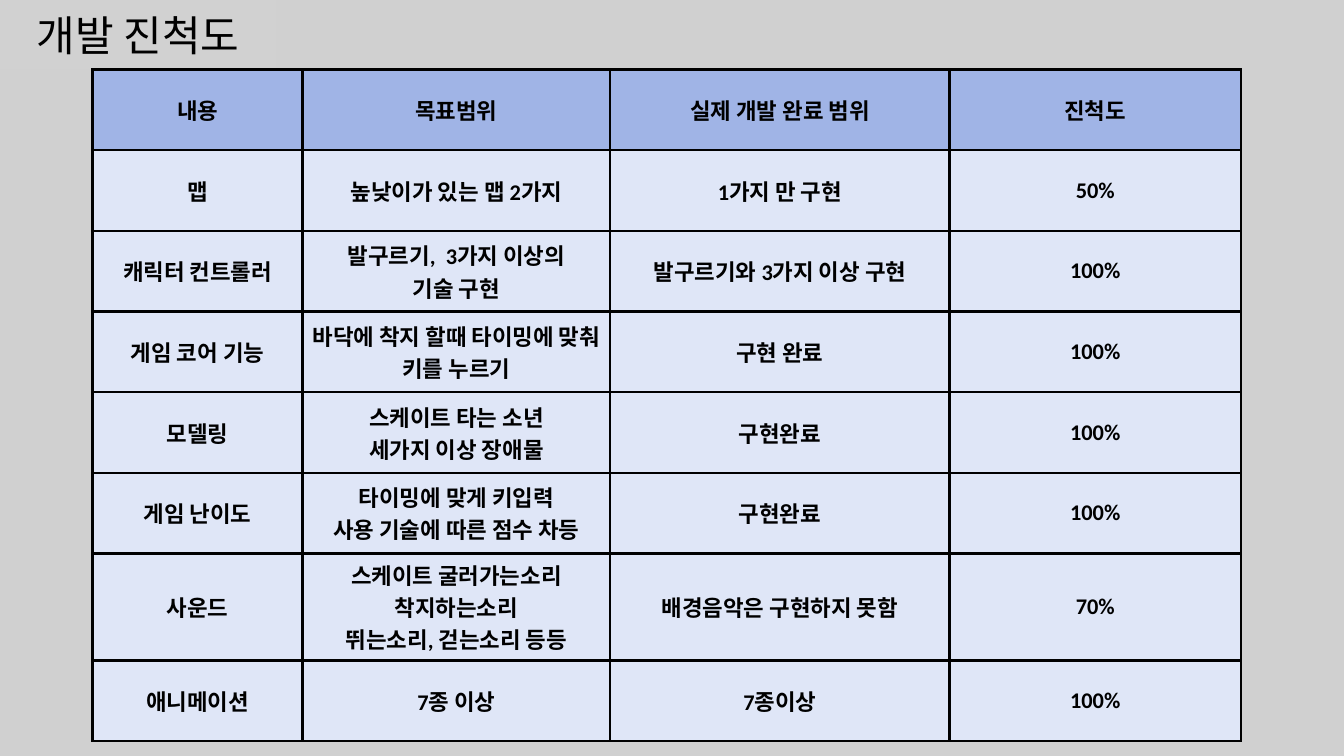
from pptx import Presentation
from pptx.dml.color import RGBColor
from pptx.enum.shapes import MSO_SHAPE
from pptx.enum.text import MSO_ANCHOR, PP_ALIGN
from pptx.oxml import parse_xml
from pptx.oxml.ns import nsdecls
from pptx.util import Pt

RECTANGLE = MSO_SHAPE.RECTANGLE
MIDDLE = MSO_ANCHOR.MIDDLE
CENTER = PP_ALIGN.CENTER

FONT = "Calibri"
BLACK = "000000"
HEADER_FILL = "A0B4E6"
BODY_FILL = "DFE6F7"
COLUMN_WIDTHS = [149.9, 219.8, 242.5, 208]
ROW_HEIGHT = 57.6
ROWS = [
    ["내용", "목표범위", "실제 개발 완료 범위", "진척도"],
    ["맵", "높낮이가 있는 맵 2가지", "1가지 만 구현", "50%"],
    ["캐릭터 컨트롤러", "발구르기,  3가지 이상의\n기술 구현",
     "발구르기와 3가지 이상 구현", "100%"],
    ["게임 코어 기능", "바닥에 착지 할때 타이밍에 맞춰 키를 누르기", "구현 완료", "100%"],
    ["모델링", "스케이트 타는 소년\n세가지 이상 장애물", "구현완료", "100%"],
    ["게임 난이도", "타이밍에 맞게 키입력\n사용 기술에 따른 점수 차등", "구현완료", "100%"],
    ["사운드", "스케이트 굴러가는소리\n착지하는소리\n뛰는소리, 걷는소리 등등",
     "배경음악은 구현하지 못함", "70%"],
    ["애니메이션", "7종 이상", "7종이상", "100%"],
]


def paint(fill, color):
    fill.solid()
    fill.fore_color.rgb = RGBColor.from_string(color)


def write(text_frame, text, size, bold):
    text_frame.word_wrap = True
    for index, line in enumerate(text.split("\n")):
        paragraph = text_frame.add_paragraph() if index else text_frame.paragraphs[0]
        paragraph.alignment = CENTER
        run = paragraph.add_run()
        run.text = line
        run.font.name = FONT
        run.font.size = Pt(size)
        run.font.bold = bold
        paint(run.font.fill, BLACK)


presentation = Presentation()
presentation.slide_width = Pt(960)
presentation.slide_height = Pt(540)
slide = presentation.slides.add_slide(presentation.slide_layouts[6])
paint(slide.background.fill, "D0D0D0")

# Title
title = slide.shapes.add_shape(RECTANGLE, Pt(0), Pt(0), Pt(197.3), Pt(49.7))
title.shadow.inherit = False
title.line.fill.background()
paint(title.fill, "D1D1D1")
title.text_frame.vertical_anchor = MIDDLE
write(title.text_frame, "개발 진척도", 30, False)

# Progress table
progress_table = slide.shapes.add_table(
    len(ROWS), len(COLUMN_WIDTHS), Pt(66.2), Pt(49.7),
    Pt(sum(COLUMN_WIDTHS)), Pt(ROW_HEIGHT * len(ROWS))).table
for column, width in zip(progress_table.columns, COLUMN_WIDTHS):
    column.width = Pt(width)
for row in progress_table.rows:
    row.height = Pt(ROW_HEIGHT)

for row_index, texts in enumerate(ROWS):
    for column_index, text in enumerate(texts):
        cell = progress_table.cell(row_index, column_index)
        cell.vertical_anchor = MIDDLE
        write(cell.text_frame, text, 16, True)
        # Borders come before the fill in the cell properties
        cell_properties = cell._tc.get_or_add_tcPr()
        for side in ("lnL", "lnR", "lnT", "lnB"):
            cell_properties.append(parse_xml(
                f'<a:{side} {nsdecls("a")} w="{Pt(2)}"><a:solidFill>'
                f'<a:srgbClr val="{BLACK}"/></a:solidFill></a:{side}>'))
        paint(cell.fill, BODY_FILL if row_index else HEADER_FILL)

presentation.save("out.pptx")
